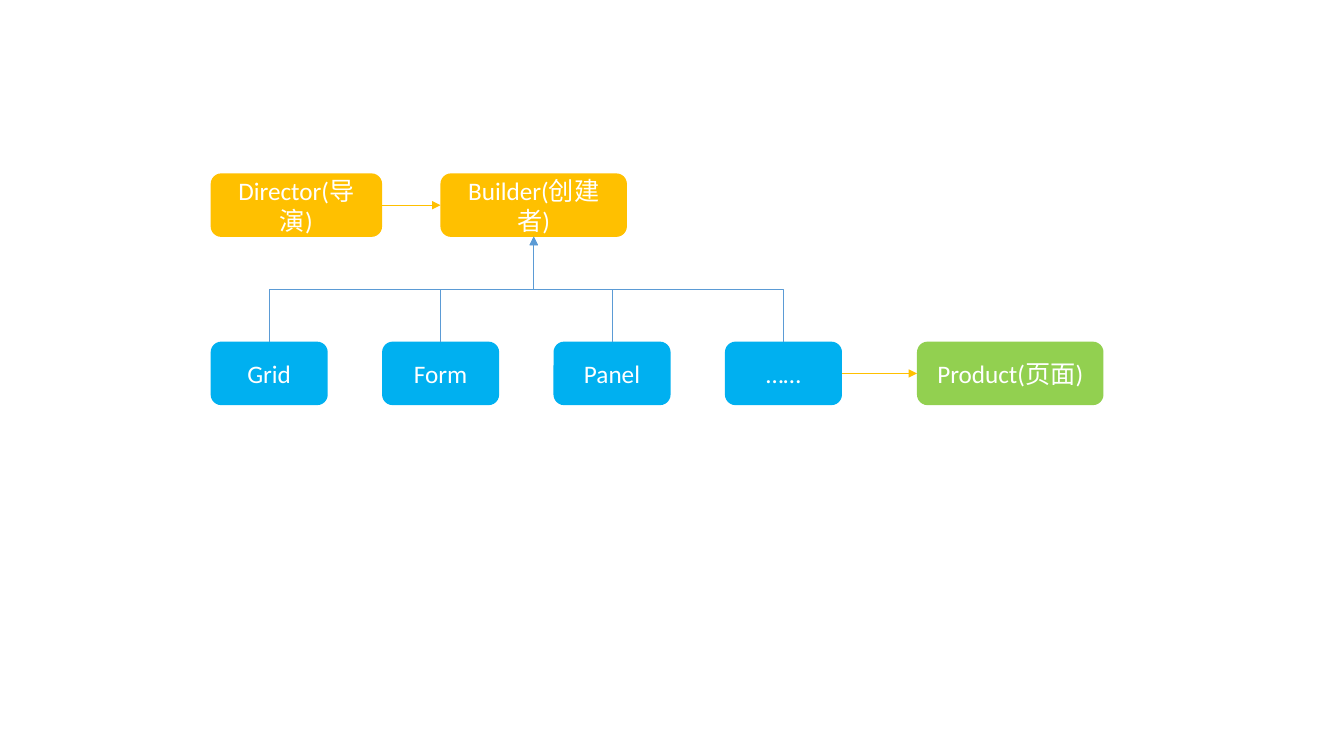
from lxml.etree import SubElement
from pptx import Presentation
from pptx.dml.color import RGBColor
from pptx.enum.shapes import MSO_CONNECTOR, MSO_SHAPE
from pptx.enum.text import MSO_ANCHOR, PP_ALIGN
from pptx.oxml.ns import qn
from pptx.util import Cm, Pt

AMBER = RGBColor(0xFF, 0xC0, 0x00)
SKY = RGBColor(0x00, 0xB0, 0xF0)
GREEN = RGBColor(0x92, 0xD0, 0x50)
BLUE = RGBColor(0x5B, 0x9B, 0xD5)
WHITE = RGBColor(0xFF, 0xFF, 0xFF)

TOP, LEFT, BOTTOM, RIGHT = range(4)  # connection sites of a rounded box
UPPER_ROW, LOWER_ROW = 4.37, 8.61
BOX_HEIGHT = 1.6
FIRST_LEFT, PART_STEP, PART_WIDTH = 5.31, 4.32, 2.95

presentation = Presentation()
presentation.slide_width = Cm(33.87)
presentation.slide_height = Cm(19.05)
slide = presentation.slides.add_slide(presentation.slide_layouts[6])


def add_box(text, left, top, width, color):
    box = slide.shapes.add_shape(
        MSO_SHAPE.ROUNDED_RECTANGLE, Cm(left), Cm(top), Cm(width), Cm(BOX_HEIGHT))
    box.shadow.inherit = False
    box.fill.solid()
    box.fill.fore_color.rgb = color
    box.line.fill.background()
    box.text_frame.word_wrap = True
    box.text_frame.vertical_anchor = MSO_ANCHOR.MIDDLE
    paragraph = box.text_frame.paragraphs[0]
    paragraph.alignment = PP_ALIGN.CENTER
    run = paragraph.add_run()
    run.text = text
    run.font.name = "Calibri"
    run.font.size = Pt(18)
    run.font.color.rgb = WHITE
    return box


def add_arrow(kind, source, source_site, target, target_site, color):
    arrow = slide.shapes.add_connector(kind, 0, 0, 0, 0)
    arrow.begin_connect(source, source_site)
    arrow.end_connect(target, target_site)
    arrow.line.color.rgb = color
    arrow.line.width = Pt(0.5)
    SubElement(arrow.line._get_or_add_ln(), qn("a:tailEnd"), type="triangle")
    SubElement(arrow._element.spPr, qn("a:effectLst"))
    return arrow


director = add_box("Director(导演)", FIRST_LEFT, UPPER_ROW, 4.32, AMBER)
builder = add_box("Builder(创建者)", 11.1, UPPER_ROW, 4.7, AMBER)
product = add_box("Product(页面)", 23.11, LOWER_ROW, 4.7, GREEN)
parts = [
    add_box(name, FIRST_LEFT + index * PART_STEP, LOWER_ROW, PART_WIDTH, SKY)
    for index, name in enumerate(["Grid", "Form", "Panel", "……"])
]

add_arrow(MSO_CONNECTOR.STRAIGHT, director, RIGHT, builder, LEFT, AMBER)
add_arrow(MSO_CONNECTOR.STRAIGHT, parts[-1], RIGHT, product, LEFT, AMBER)

for part in parts:
    arrow = add_arrow(MSO_CONNECTOR.ELBOW, part, TOP, builder, BOTTOM, BLUE)
    # Turn the elbow about its centre so that it leaves the part vertically
    rotation = 90 if arrow.begin_x < arrow.end_x else 270
    width, height = arrow.width, arrow.height
    arrow.left += (width - height) // 2
    arrow.top += (height - width) // 2
    arrow.width, arrow.height = height, width
    frame = arrow._element.spPr.find(qn("a:xfrm"))
    frame.flipH = not frame.flipH
    frame.set("rot", str(rotation * 60000))

presentation.save("out.pptx")
